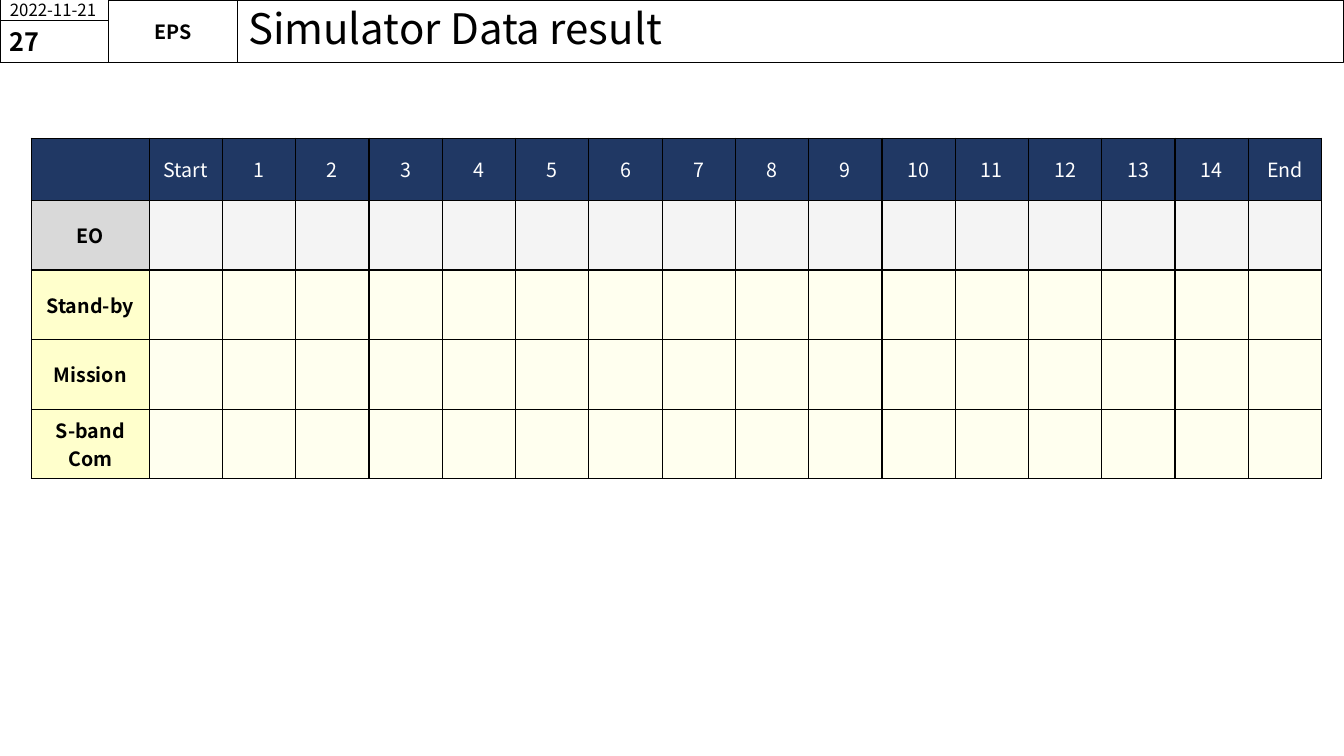
from lxml import etree
from pptx import Presentation
from pptx.dml.color import RGBColor
from pptx.enum import shapes, text
from pptx.oxml import ns
from pptx.util import Inches, Pt

FONT = "Noto Sans CJK KR"
COLORS = {
    "black": "000000",
    "white": "FFFFFF",
    "navy": "203864",
    "gray": "D9D9D9",
    "pale_gray": "DBDBDB",
    "yellow": "FFFFCC",
}
HEADINGS = ["", "Start", *map(str, range(1, 15)), "End"]
MODES = [
    ("EO", "gray", "pale_gray"),
    ("Stand-by", "yellow", "yellow"),
    ("Mission", "yellow", "yellow"),
    ("S-band Com", "yellow", "yellow"),
]
TABLE_WIDTH, LABEL_WIDTH = 12.8, 1.17
HEADING_HEIGHT, MODE_HEIGHT = 0.62, 0.69
THIN, THICK = 1, 2.25


def rgb(name):
    return RGBColor.from_string(COLORS[name])


def write(frame, words, size, bold=False, color="black", align=text.PP_ALIGN.LEFT):
    frame.text = words
    para = frame.paragraphs[0]
    para.alignment = align
    para.font.name = FONT
    para.font.size = Pt(size)
    para.font.bold = bold
    para.font.color.rgb = rgb(color)


def outline(box):
    box.line.color.rgb = rgb("black")
    box.line.width = Pt(0.75)


def add_title(page, words):
    title = page.shapes.title
    title.left, title.top = Inches(2.36), Inches(0)
    title.width, title.height = Inches(10.97), Inches(0.62)
    outline(title)
    frame = title.text_frame
    frame.auto_size = text.MSO_AUTO_SIZE.NONE
    frame.vertical_anchor = text.MSO_ANCHOR.MIDDLE
    write(frame, words, 30)
    frame.paragraphs[0].line_spacing = 0.9


def add_header_box(page, words, left, top, width, height, size, **style):
    box = page.shapes.add_shape(
        shapes.MSO_SHAPE.RECTANGLE, *map(Inches, (left, top, width, height)))
    box.shadow.inherit = False
    box.fill.background()
    outline(box)
    box.text_frame.vertical_anchor = text.MSO_ANCHOR.MIDDLE
    write(box.text_frame, words, size, **style)
    return box


def fill_cell(cell, color, opacity=100):
    """Fill a cell, with the opacity in percent."""
    cell.fill.solid()
    cell.fill.fore_color.rgb = rgb(color)
    if opacity < 100:
        tint = cell._tc.tcPr.find(".//" + ns.qn("a:srgbClr"))
        etree.SubElement(tint, ns.qn("a:alpha"), val=str(opacity * 1000))


def border_cell(cell, top=THIN, bottom=THIN):
    widths = {"L": THIN, "R": THIN, "T": top, "B": bottom}
    properties = cell._tc.get_or_add_tcPr()
    for position, (side, width) in enumerate(widths.items()):
        line = etree.Element(ns.qn("a:ln" + side), w=str(Pt(width)))
        fill = etree.SubElement(line, ns.qn("a:solidFill"))
        etree.SubElement(fill, ns.qn("a:srgbClr"), val=COLORS["black"])
        properties.insert(position, line)


def write_cell(cell, words, **style):
    cell.vertical_anchor = text.MSO_ANCHOR.MIDDLE
    write(cell.text_frame, words, 14, align=text.PP_ALIGN.CENTER, **style)


def add_result_table(page):
    height = HEADING_HEIGHT + MODE_HEIGHT * len(MODES)
    table = page.shapes.add_table(
        len(MODES) + 1, len(HEADINGS), Inches(0.31), Inches(1.37),
        Inches(TABLE_WIDTH), Inches(height)).table
    step_width = (TABLE_WIDTH - LABEL_WIDTH) / (len(HEADINGS) - 1)
    for index, column in enumerate(table.columns):
        column.width = Inches(step_width if index else LABEL_WIDTH)
    for index, row in enumerate(table.rows):
        row.height = Inches(MODE_HEIGHT if index else HEADING_HEIGHT)

    for cell, heading in zip(table.rows[0].cells, HEADINGS):
        write_cell(cell, heading, color="white")
        fill_cell(cell, "navy")
        border_cell(cell)

    for index, (mode, label_color, step_color) in enumerate(MODES, start=1):
        label, *steps = table.rows[index].cells
        write_cell(label, mode, bold=True)
        fill_cell(label, label_color)
        for cell in steps:
            write_cell(cell, "")
            fill_cell(cell, step_color, opacity=30)
        for cell in (label, *steps):
            border_cell(cell, top=THICK if index == 2 else THIN,
                        bottom=THICK if index == 1 else THIN)


def main():
    deck = Presentation()
    deck.slide_width, deck.slide_height = Inches(13.33), Inches(7.5)
    page = deck.slides.add_slide(deck.slide_layouts[5])
    add_title(page, "Simulator Data result")
    add_header_box(page, "2022-11-21", 0, 0, 1.08, 0.2, 12)
    system = add_header_box(page, "EPS", 1.08, 0, 1.28, 0.62, 14,
                            bold=True, align=text.PP_ALIGN.CENTER)
    frame = system.text_frame
    frame.margin_left = frame.margin_right = Inches(0)
    frame.margin_top = frame.margin_bottom = Inches(0)
    add_header_box(page, "27", 0, 0.2, 1.08, 0.42, 18, bold=True)
    add_result_table(page)
    deck.save("out.pptx")


if __name__ == "__main__":
    main()
